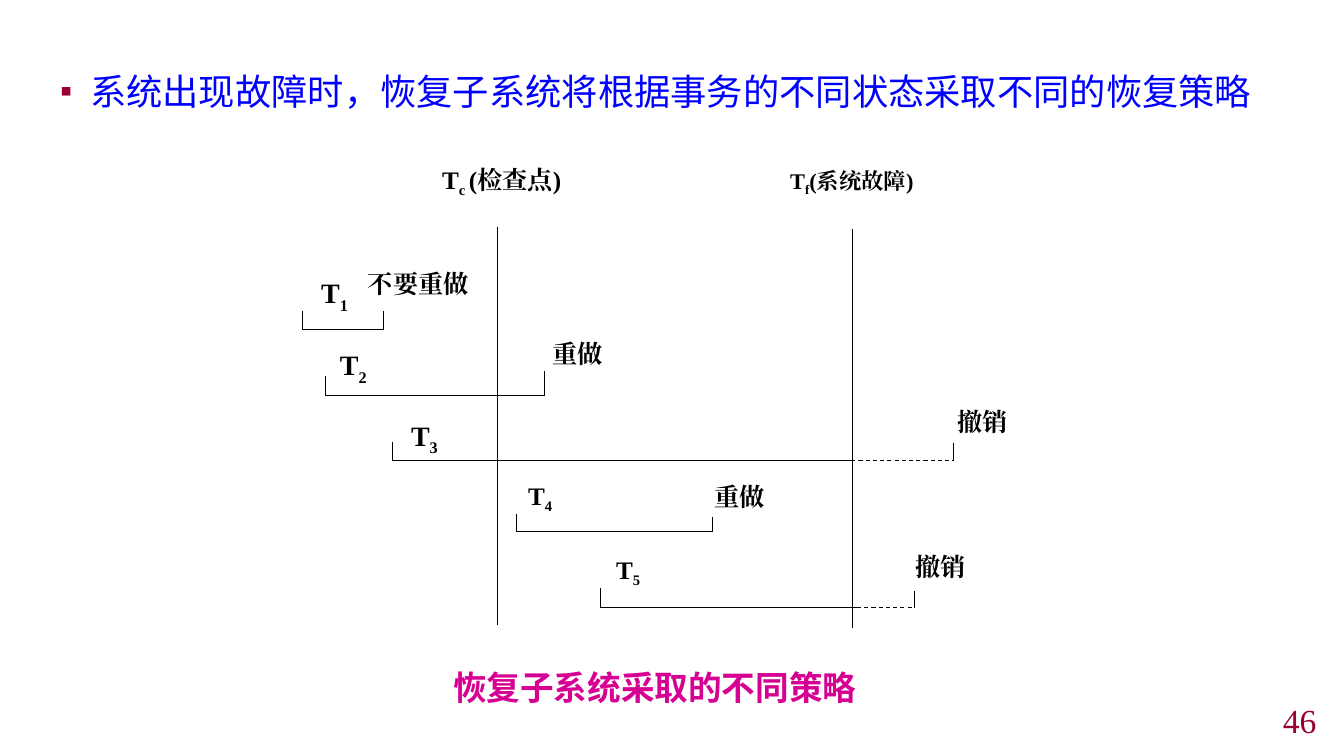
from dataclasses import dataclass
from typing import Optional

from lxml import etree
from pptx import Presentation
from pptx import util as u
from pptx.dml.color import RGBColor
from pptx.enum import dml, shapes, text
from pptx.oxml.ns import qn

PX = 914400 / 100.8
Box = tuple[int, int, int, int]
Runs = list[tuple[str, bool]]


@dataclass(frozen=True)
class Theme:
    """Colours, fonts and type sizes of the slide."""
    ink: str = "000000"
    heading: str = "0000FF"
    accent: str = "990033"
    caption: str = "D60093"
    serif: str = "Times New Roman"
    sans: str = "Noto Sans CJK SC"
    heading_size: float = 25.9
    caption_size: float = 24
    large: float = 20
    medium: float = 18
    small: float = 16
    bar_width: float = 0.75
    moment_width: float = 0.5


@dataclass(frozen=True)
class Moment:
    """A vertical line marking a point in time."""
    subscript: str
    meaning: str
    x: int
    top: int
    bottom: int
    box: Box
    size: float


@dataclass(frozen=True)
class Transaction:
    """A bracket over a transaction's lifetime, with its recovery action."""
    number: int
    start: int
    end: int
    y: int
    start_top: int
    end_top: int
    name_box: Box
    size: float
    action: str
    action_box: Box
    solid_end: Optional[int] = None
    dash_start: Optional[int] = None


THEME = Theme()
MOMENTS = [
    Moment("c ", "(检查点)", 497, 227, 625, (432, 159, 157, 74), THEME.medium),
    Moment("f", "(系统故障)", 852, 229, 628, (780, 162, 157, 74), THEME.small),
]
TRANSACTIONS = [
    Transaction(1, 302, 383, 330, 311, 311, (311, 271, 84, 74), THEME.large,
                "不要重做", (358, 263, 157, 74)),
    Transaction(2, 325, 544, 396, 376, 371, (330, 343, 81, 74), THEME.large,
                "重做", (542, 333, 119, 74)),
    Transaction(3, 392, 953, 461, 442, 443, (401, 414, 125, 74), THEME.large,
                "撤销", (947, 401, 112, 74), 851, 851),
    Transaction(4, 516, 712, 532, 514, 517, (518, 475, 125, 74), THEME.medium,
                "重做", (704, 476, 119, 74)),
    Transaction(5, 600, 914, 608, 588, 591, (606, 549, 125, 92), THEME.medium,
                "撤销", (905, 546, 103, 74), 861, 864),
]


def emu(pixels: float) -> u.Emu:
    """Turn pixels into EMU."""
    return u.Emu(round(pixels * PX))


def place(shape, box: Box) -> None:
    """Move and size a shape."""
    shape.left, shape.top, shape.width, shape.height = map(emu, box)


def write(shape, runs: Runs, *, size: float, color: str, font: str,
          bold: bool = False, align=text.PP_ALIGN.LEFT,
          anchor=text.MSO_ANCHOR.TOP) -> None:
    """Fill a shape with runs of (wording, is subscript) in one format."""
    frame = shape.text_frame
    frame.word_wrap = True
    frame.auto_size = text.MSO_AUTO_SIZE.NONE
    frame.vertical_anchor = anchor
    paragraph = frame.paragraphs[0]
    paragraph.alignment = align
    paragraph.space_before = u.Pt(0)
    for wording, subscript in runs:
        run = paragraph.add_run()
        run.text = wording
        run.font.size = u.Pt(size)
        run.font.bold = bold
        run.font.name = font
        run.font.color.rgb = RGBColor.from_string(color)
        properties = run.font._element
        latin = properties.find(qn("a:latin"))
        east_asian = etree.Element(qn("a:ea"), typeface=font)
        latin.addnext(east_asian)
        if subscript:
            properties.set("baseline", "-25000")


def add_label(slide, box: Box, runs: Runs, **style) -> None:
    """Add a text box, by default in the bold diagram lettering."""
    label = slide.shapes.add_textbox(*map(emu, box))
    defaults = dict(color=THEME.ink, font=THEME.serif, bold=True)
    write(label, runs, **{**defaults, **style})


def add_line(slide, x1: int, y1: int, x2: int, y2: int,
             width: float = THEME.bar_width, dashed: bool = False) -> None:
    """Draw a straight line without a shadow."""
    line = slide.shapes.add_connector(
        shapes.MSO_CONNECTOR.STRAIGHT, *map(emu, (x1, y1, x2, y2)))
    line.line.color.rgb = RGBColor.from_string(THEME.ink)
    line.line.width = u.Pt(width)
    if dashed:
        line.line.dash_style = dml.MSO_LINE.DASH
    etree.SubElement(line._element.spPr, qn("a:effectLst"))


def set_bullet(paragraph, char: str, color: str, percent: int, indent: int) -> None:
    """Give a paragraph a coloured bullet and a hanging indent."""
    properties = paragraph._p.get_or_add_pPr()
    properties.set("marL", str(emu(indent)))
    properties.set("indent", str(-emu(indent)))
    bullet_color = etree.SubElement(properties, qn("a:buClr"))
    etree.SubElement(bullet_color, qn("a:srgbClr"), val=color)
    etree.SubElement(properties, qn("a:buSzPct"), val=str(percent * 1000))
    etree.SubElement(properties, qn("a:buFont"), typeface=THEME.serif)
    etree.SubElement(properties, qn("a:buChar"), char=char)


def draw_moment(slide, moment: Moment) -> None:
    """Draw a point in time and its heading."""
    add_line(slide, moment.x, moment.top, moment.x, moment.bottom, THEME.moment_width)
    add_label(slide, moment.box,
              [("T", False), (moment.subscript, True), (moment.meaning, False)],
              size=moment.size)


def draw_transaction(slide, item: Transaction) -> None:
    """Draw a transaction's bracket, name and recovery action."""
    add_line(slide, item.start, item.y, item.solid_end or item.end, item.y)
    if item.dash_start:
        add_line(slide, item.dash_start, item.y, item.end, item.y, dashed=True)
    add_line(slide, item.start, item.start_top, item.start, item.y)
    add_line(slide, item.end, item.end_top, item.end, item.y)
    add_label(slide, item.name_box, [("T", False), (str(item.number), True)],
              size=item.size)
    add_label(slide, item.action_box, [(item.action, False)], size=THEME.medium)


def main() -> None:
    """Build and save the slide."""
    deck = Presentation()
    deck.slide_width, deck.slide_height = u.Inches(13.33), u.Inches(7.5)
    slide = deck.slides.add_slide(deck.slide_layouts[1])
    unused_title, statement = slide.placeholders
    unused_title._element.getparent().remove(unused_title._element)

    place(statement, (50, 44, 1229, 93))
    write(statement, [("系统出现故障时，恢复子系统将根据事务的不同状态采取不同的恢复策略", False)],
          size=THEME.heading_size, color=THEME.heading, font=THEME.sans,
          anchor=text.MSO_ANCHOR.MIDDLE)
    set_bullet(statement.text_frame.paragraphs[0], "▪", THEME.accent, 95, 30)

    for moment in MOMENTS:
        draw_moment(slide, moment)
    for transaction in TRANSACTIONS:
        draw_transaction(slide, transaction)

    add_label(slide, (353, 662, 603, 50), [("恢复子系统采取的不同策略", False)],
              size=THEME.caption_size, color=THEME.caption, font=THEME.sans,
              align=text.PP_ALIGN.CENTER)
    add_label(slide, (1041, 705, 285, 31), [("46", False)],
              size=THEME.caption_size, color=THEME.accent, bold=False,
              align=text.PP_ALIGN.RIGHT, anchor=text.MSO_ANCHOR.MIDDLE)
    deck.save("out.pptx")


main()
